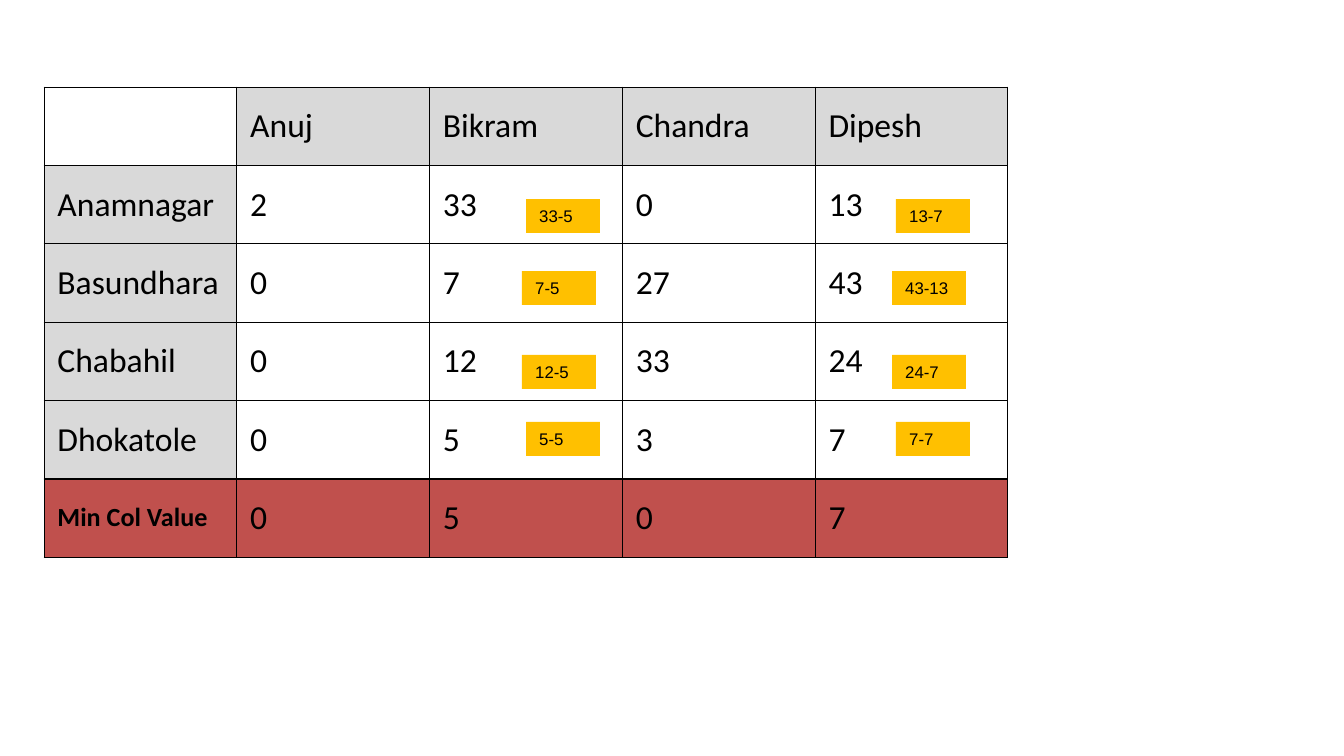
"""Build the column-reduction slide: cost table, minimum row and subtraction tags."""
from lxml import etree
from pptx import Presentation
from pptx.dml.color import RGBColor
from pptx.enum.text import MSO_ANCHOR, MSO_AUTO_SIZE
from pptx.oxml.ns import qn
from pptx.util import Emu, Pt

MIDDLE = MSO_ANCHOR.MIDDLE
GROW = MSO_AUTO_SIZE.SHAPE_TO_FIT_TEXT
BLACK = RGBColor(0x00, 0x00, 0x00)
GRAY = RGBColor(0xD9, 0xD9, 0xD9)
RED = RGBColor(0xC0, 0x50, 0x4D)
AMBER = RGBColor(0xFF, 0xC0, 0x00)
BORDER_WIDTH = Pt(0.45)

COSTS = [
    ["", "Anuj", "Bikram", "Chandra", "Dipesh"],
    ["Anamnagar", "2", "33", "0", "13"],
    ["Basundhara", "0", "7", "27", "43"],
    ["Chabahil", "0", "12", "33", "24"],
    ["Dhokatole", "0", "5", "3", "7"],
]
MINIMUMS = [["Min Col Value", "0", "5", "0", "7"]]
TAGS = [
    (526, 199, "33-5", "13-7"),
    (522, 271, "7-5", "43-13"),
    (522, 355, "12-5", "24-7"),
    (526, 422, "5-5", "7-7"),
]
TAG_STEP = 370


def px(count):
    """Turn pixels into EMU."""
    return Emu(round(count * 914400 / 134.4))


def style_cell(cell, text, fill, size=18, bold=False):
    """Write a cell's text, borders and fill."""
    cell.text = text
    cell.vertical_anchor = MIDDLE
    font = cell.text_frame.paragraphs[0].font
    font.name, font.size, font.bold = "Calibri", Pt(size), bold
    font.color.rgb = BLACK
    properties = cell._tc.get_or_add_tcPr()
    for side in ("a:lnL", "a:lnR", "a:lnT", "a:lnB"):
        line = etree.SubElement(properties, qn(side), w=str(BORDER_WIDTH))
        solid = etree.SubElement(line, qn("a:solidFill"))
        etree.SubElement(solid, qn("a:srgbClr"), val=str(BLACK))
    if fill is None:
        cell.fill.background()
    else:
        cell.fill.solid()
        cell.fill.fore_color.rgb = fill


deck = Presentation()
deck.slide_width, deck.slide_height = px(1344), px(756)
page = deck.slides.add_slide(deck.slide_layouts[6])

for values, top, height in ((COSTS, 87, 392), (MINIMUMS, 479, 78)):
    table = page.shapes.add_table(
        len(values), 5, px(44), px(top), px(964), px(height)).table
    table.first_row = table.horz_banding = False
    for r, row in enumerate(values):
        for c, text in enumerate(row):
            cell = table.cell(r, c)
            if values is MINIMUMS:
                label = c == 0
                style_cell(cell, text, RED, 14 if label else 18, label)
            else:
                heading = (r == 0) != (c == 0)
                style_cell(cell, text, GRAY if heading else None)

for column in range(2):
    for left, top, *labels in TAGS:
        box = page.shapes.add_textbox(
            px(left + column * TAG_STEP), px(top), px(74), px(34))
        box.fill.solid()
        box.fill.fore_color.rgb = AMBER
        frame = box.text_frame
        frame.word_wrap = True
        frame.auto_size = GROW
        frame.text = labels[column]
        font = frame.paragraphs[0].font
        font.name, font.size = "Arial", Pt(9)
        font.color.rgb = BLACK

deck.save("out.pptx")
